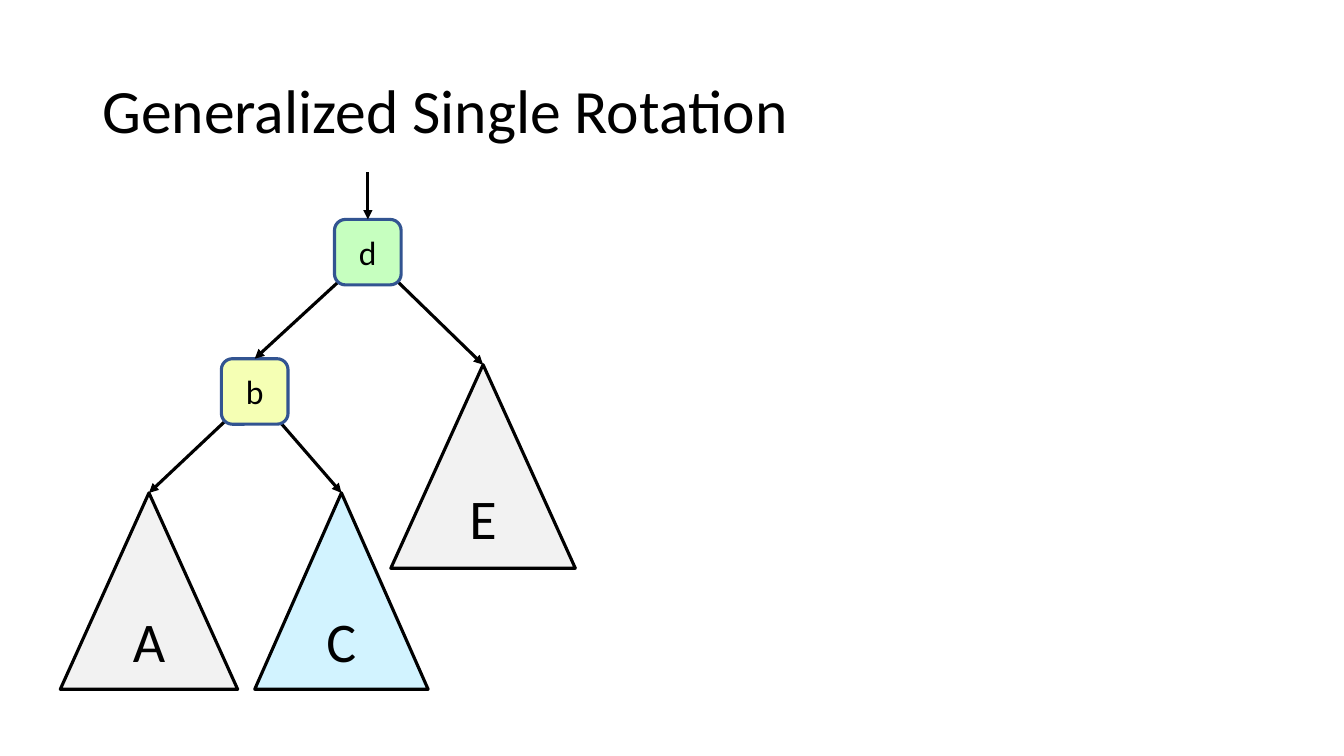
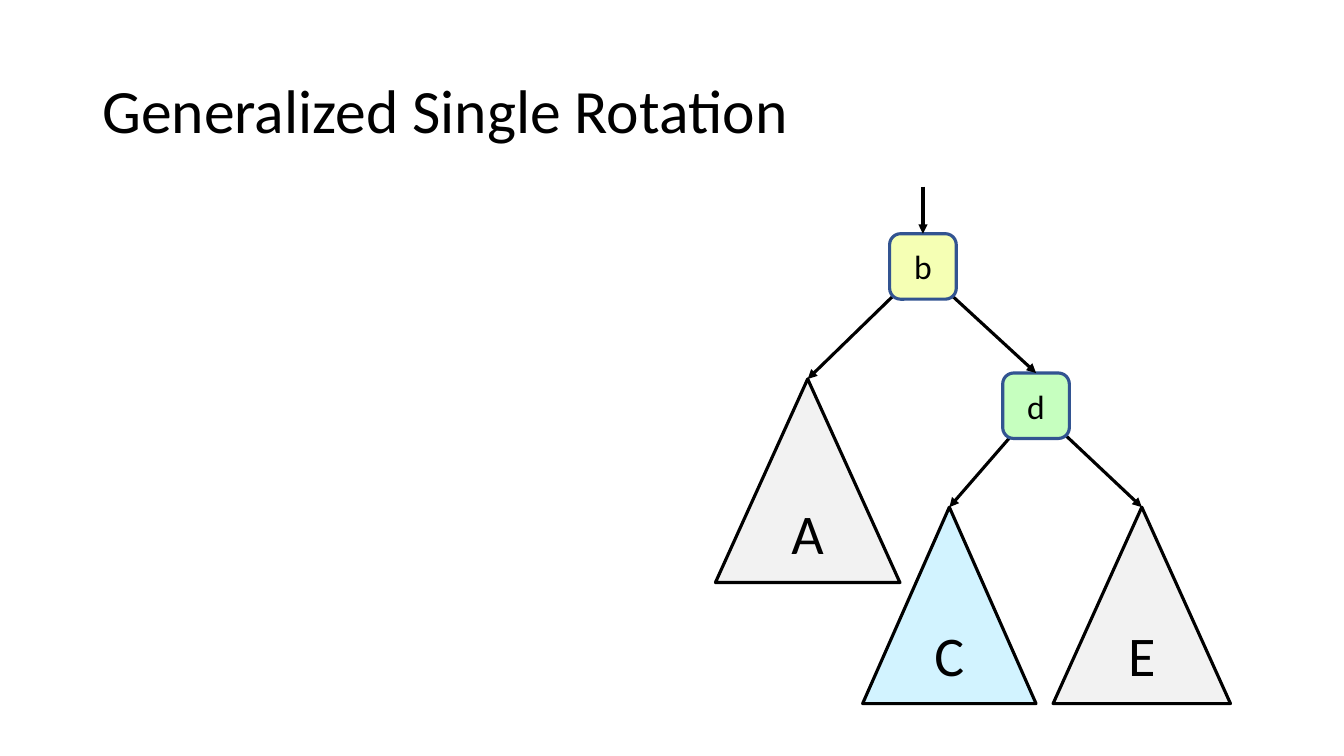
import pptx
import pptx.dml.color
import pptx.enum.shapes
import pptx.enum.text
import pptx.oxml
import pptx.oxml.ns
import pptx.util

Cm = pptx.util.Cm
Pt = pptx.util.Pt
SHAPES = pptx.enum.shapes.MSO_SHAPE
ALIGN = pptx.enum.text.PP_ALIGN
ANCHOR = pptx.enum.text.MSO_ANCHOR

FONT = "Calibri"
BLACK = "000000"
NODE_LINE = "325491"
GREEN = "C6FFBF"
YELLOW = "F5FFB4"
GREY = "F2F2F2"
BLUE = "D2F3FF"

TITLE_BOX = (2.33, 1.01, 29.21, 3.68)
TREE_WIDTH = 12.98
NODE_SIZE = (1.68, 1.65)
LINE_WIDTH = Pt(2.25)


def colour(code):
    return pptx.dml.color.RGBColor.from_string(code)


def write(shape, text, size, align):
    frame = shape.text_frame
    frame.word_wrap = True
    frame.vertical_anchor = ANCHOR.MIDDLE
    para = frame.paragraphs[0]
    para.alignment = align
    span = para.add_run()
    span.text = text
    span.font.name = FONT
    span.font.size = Pt(size)
    span.font.color.rgb = colour(BLACK)
    return para


def add_title(page, text):
    box = page.shapes.add_textbox(*map(Cm, TITLE_BOX))
    para = write(box, text, 44, ALIGN.LEFT)
    para.line_spacing = 0.9


class Tree:
    def __init__(self, page, left, top, mirrored):
        self.page = page
        self.left = left
        self.top = top
        self.mirrored = mirrored

    def across(self, x, width=0):
        return Cm(self.left + (TREE_WIDTH - x - width if self.mirrored else x))

    def down(self, y):
        return Cm(self.top + y)

    def shape(self, kind, x, y, width, height, text, size, fill, line):
        shape = self.page.shapes.add_shape(
            kind, self.across(x, width), self.down(y), Cm(width), Cm(height))
        shape.shadow.inherit = False
        shape.fill.solid()
        shape.fill.fore_color.rgb = colour(fill)
        shape.line.color.rgb = colour(line)
        shape.line.width = LINE_WIDTH
        write(shape, text, size, ALIGN.CENTER)
        return shape

    def subtree(self, x, y, width, height, text, fill):
        return self.shape(SHAPES.ISOSCELES_TRIANGLE, x, y, width, height,
                          text, 40, fill, BLACK)

    def node(self, x, y, text, fill):
        return self.shape(SHAPES.ROUNDED_RECTANGLE, x, y, *NODE_SIZE,
                          text, 24, fill, NODE_LINE)

    def arrow(self, x, y, target):
        start = self.across(x), self.down(y)
        arrow = self.page.shapes.add_connector(
            pptx.enum.shapes.MSO_CONNECTOR.STRAIGHT, *start, *start)
        arrow.end_connect(target, 0)
        arrow.line.color.rgb = colour(BLACK)
        arrow.line.width = LINE_WIDTH
        head = pptx.oxml.parse_xml(
            f'<a:tailEnd {pptx.oxml.ns.nsdecls("a")} type="triangle"/>')
        arrow.line._get_or_add_ln().append(head)
        effects = pptx.oxml.parse_xml(
            f'<a:effectLst {pptx.oxml.ns.nsdecls("a")}/>')
        arrow._element.spPr.append(effects)


def add_tree(page, left, top, root, child, leaves, mirrored=False):
    tree = Tree(page, left, top, mirrored)
    near, middle, far = leaves
    near_tree = tree.subtree(8.33, 4.85, 4.65, 5.13, near, GREY)
    middle_tree = tree.subtree(4.9, 8.08, 4.37, 4.95, middle, BLUE)
    far_tree = tree.subtree(0, 8.08, 4.47, 4.95, far, GREY)
    tree.arrow(4.39, 6.05, far_tree)
    tree.arrow(5.41, 6.15, middle_tree)
    child_node = tree.node(4.06, 4.7, *child)
    tree.arrow(8.33, 2.59, near_tree)
    tree.arrow(7.14, 2.64, child_node)
    root_node = tree.node(6.91, 1.19, *root)
    tree.arrow(7.75, 0, root_node)


def add_page(deck, **tree):
    page = deck.slides.add_slide(deck.slide_layouts[6])
    add_title(page, "Generalized Single Rotation")
    add_tree(page, **tree)


def main():
    deck = pptx.Presentation()
    deck.slide_width = Cm(33.87)
    deck.slide_height = Cm(19.05)
    node_b = ("b", YELLOW)
    node_d = ("d", GREEN)
    add_page(deck, left=1.52, top=4.34, root=node_d, child=node_b, leaves="ECA")
    add_page(deck, left=18.03, top=4.7, root=node_b, child=node_d, leaves="ACE",
             mirrored=True)
    deck.save("out.pptx")


if __name__ == "__main__":
    main()
